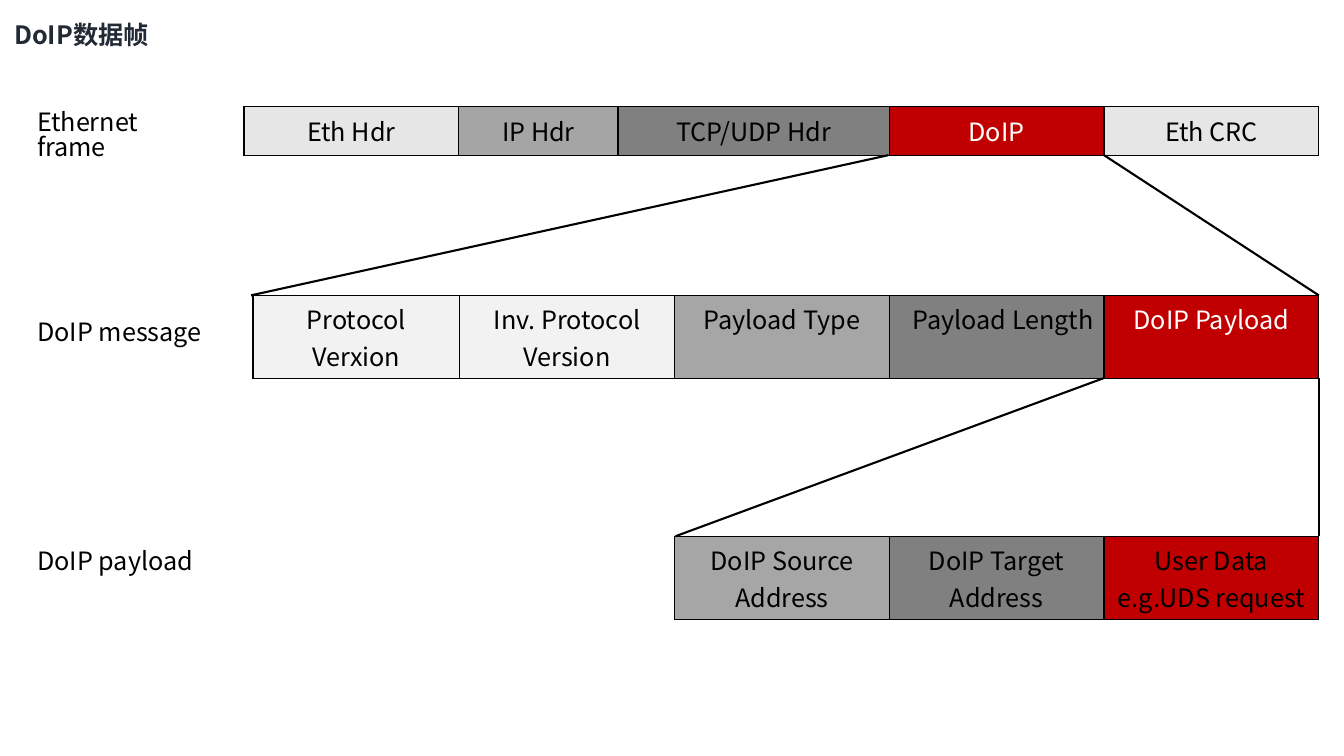
"""Build the slide that unfolds a DoIP data frame into its nested fields."""
from lxml.etree import SubElement
from pptx import Presentation
from pptx.dml.color import RGBColor
from pptx.enum.shapes import MSO_CONNECTOR
from pptx.enum.text import MSO_ANCHOR, MSO_AUTO_SIZE, PP_ALIGN
from pptx.oxml import parse_xml
from pptx.oxml.ns import nsdecls, qn
from pptx.util import Inches, Pt

BLACK = RGBColor(0x00, 0x00, 0x00)
WHITE = RGBColor(0xFF, 0xFF, 0xFF)
NAVY = RGBColor(0x22, 0x2A, 0x35)
RED = RGBColor(0xC0, 0x00, 0x00)
PALE = RGBColor(0xE7, 0xE6, 0xE6)
LIGHT = RGBColor(0xF2, 0xF2, 0xF2)
SILVER = RGBColor(0xA5, 0xA5, 0xA5)
GREY = RGBColor(0xA6, 0xA6, 0xA6)
DARK = RGBColor(0x80, 0x80, 0x80)
FONT = "Noto Sans CJK SC"
MID, END = PP_ALIGN.CENTER, PP_ALIGN.RIGHT
RIGHT, WIDE = 13.08, 2.13


def write(frame, text, color, align, bold=False):
    frame.text = text
    para = frame.paragraphs[0]
    para.alignment = align
    font = para.runs[0].font
    look = {"name": FONT, "size": Pt(18), "bold": bold}
    for key, value in look.items():
        setattr(font, key, value)
    font.color.rgb = color
    SubElement(para.runs[0]._r.rPr, qn("a:ea"), typeface=FONT)
    return para


def label(box, spot, text, color, bold=False):
    box.left, box.top, box.width, box.height = [Inches(n) for n in spot]
    frame = box.text_frame
    look = {"word_wrap": True, "auto_size": MSO_AUTO_SIZE.NONE,
            "vertical_anchor": MSO_ANCHOR.TOP}
    for key, value in look.items():
        setattr(frame, key, value)
    para = write(frame, text, color, PP_ALIGN.LEFT, bold)
    para.line_spacing = 0.83


deck = Presentation()
deck.slide_width, deck.slide_height = Inches(13.33), Inches(7.5)
slide = deck.slides.add_slide(deck.slide_layouts[5])
shapes = slide.shapes
label(shapes.title, (0.04, 0.19, 1.69, 0.4), "DoIP数据帧", NAVY, True)

tables = [
    (1.06, 0.48, [
        ("Eth Hdr", 2.13, PALE, BLACK, MID),
        ("IP Hdr", 1.58, SILVER, BLACK, MID),
        ("TCP/UDP Hdr", 2.69, DARK, BLACK, MID),
        ("DoIP", WIDE, RED, WHITE, MID),
        ("Eth CRC", WIDE, PALE, BLACK, MID)]),
    (2.93, 0.82, [
        ("Protocol Verxion", 2.05, LIGHT, BLACK, MID),
        ("Inv. Protocol Version", WIDE, LIGHT, BLACK, MID),
        ("Payload Type", WIDE, GREY, BLACK, MID),
        ("Payload Length", WIDE, DARK, BLACK, END),
        ("DoIP Payload", WIDE, RED, WHITE, MID)]),
    (5.32, 0.82, [
        ("DoIP Source Address", WIDE, GREY, BLACK, MID),
        ("DoIP Target Address", WIDE, DARK, BLACK, MID),
        ("User Data e.g.UDS request", WIDE, RED, BLACK, MID)]),
]
for top, high, fields in tables:
    width = sum(field[1] for field in fields)
    grid = shapes.add_table(1, len(fields), Inches(RIGHT - width), Inches(top),
                            Inches(width), Inches(high)).table
    grid.first_row = grid.horz_banding = False
    grid.rows[0].height = Inches(high)
    for col, (text, wide, fill, color, align) in enumerate(fields):
        grid.columns[col].width = Inches(wide)
        cell = grid.cell(0, col)
        write(cell.text_frame, text, color, align)
        cell.fill.solid()
        cell.fill.fore_color.rgb = fill
        for spot, side in enumerate("LRTB"):
            cell._tc.tcPr.insert(spot, parse_xml(
                f'<a:ln{side} {nsdecls("a")} w="{Pt(1)}"><a:solidFill>'
                f'<a:srgbClr val="{BLACK}"/></a:solidFill></a:ln{side}>'))

lines = [
    (8.81, 1.54, 2.49, 2.93),
    (10.95, 1.54, RIGHT, 2.93),
    (RIGHT, 3.75, RIGHT, 5.32),
    (10.95, 3.75, 6.7, 5.32),
]
for ends in lines:
    line = shapes.add_connector(MSO_CONNECTOR.STRAIGHT, *map(Inches, ends))
    line.line.color.rgb = BLACK
    line.line.width = Pt(1.5)
    SubElement(line._element.spPr, qn("a:effectLst"))

labels = [
    ("Ethernet frame", 1.06, 1.86),
    ("DoIP message", 3.14, 1.86),
    ("DoIP payload", 5.41, 1.75),
]
for text, top, wide in labels:
    box = shapes.add_textbox(0, 0, 0, 0)
    label(box, (0.27, top, wide, 0.4), text, BLACK)

deck.save("out.pptx")
